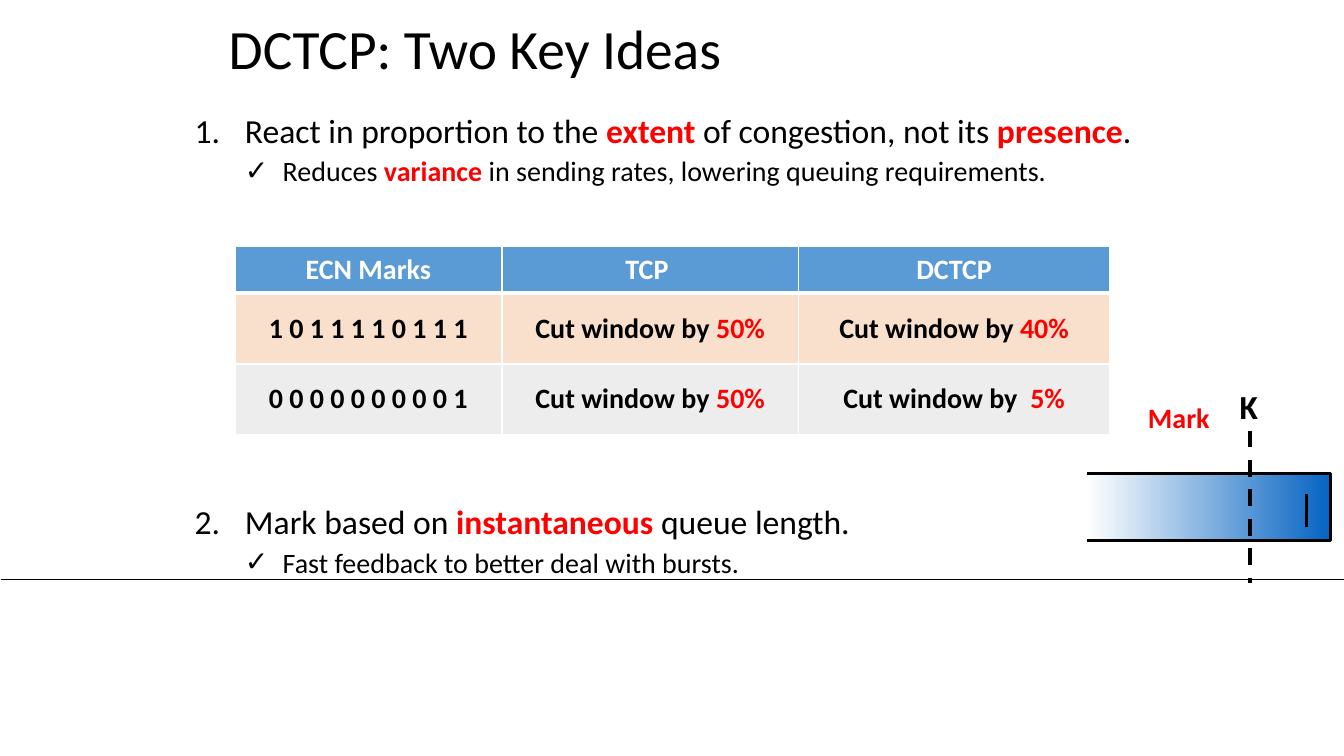
from lxml import etree
from pptx import Presentation
from pptx.dml.color import RGBColor
from pptx.enum.dml import MSO_LINE
from pptx.enum.shapes import MSO_CONNECTOR
from pptx.enum.text import MSO_ANCHOR, MSO_AUTO_SIZE, PP_ALIGN
from pptx.oxml import parse_xml
from pptx.oxml.ns import nsdecls, qn
from pptx.util import Cm, Pt

LEFT, CENTER = PP_ALIGN.LEFT, PP_ALIGN.CENTER
TOP, MIDDLE = MSO_ANCHOR.TOP, MSO_ANCHOR.MIDDLE
NO_AUTOFIT = MSO_AUTO_SIZE.NONE
STRAIGHT, DASH = MSO_CONNECTOR.STRAIGHT, MSO_LINE.DASH

BLACK, WHITE, RED = "000000", "FFFFFF", "FF0000"
HEADER, PEACH, GREY, BLUE = "5B9BD5", "F9E0CD", "EDEDED", "0563C1"


def rgb(value):
    return RGBColor.from_string(value)


def write(p, text, size=20, color=BLACK, bold=False, font="Calibri"):
    """Add a run; parts between asterisks become bold red."""
    for i, part in enumerate(text.split("*")):
        if part:
            r = p.add_run()
            r.text = part
            r.font.name, r.font.size = font, Pt(size)
            r.font.bold = bold or i % 2 == 1
            r.font.color.rgb = rgb(RED if i % 2 else color)


class SlideBuilder:
    def __init__(self, prs):
        self.s = prs.slides.add_slide(prs.slide_layouts[1])

    def place(self, sp, x, y, w, h, anchor):
        sp.left, sp.top, sp.width, sp.height = Cm(x), Cm(y), Cm(w), Cm(h)
        tf = sp.text_frame
        tf.word_wrap, tf.auto_size = True, NO_AUTOFIT
        tf.vertical_anchor = anchor
        return tf

    def title(self, text, *box):
        p = self.place(self.s.shapes.title, *box, MIDDLE).paragraphs[0]
        p.alignment, p.line_spacing = LEFT, 0.9
        write(p, text, size=39.6)

    def body(self, items, *box):
        """Items are (level, bullet XML, space before in points, text)."""
        tf = self.place(self.s.placeholders[1], *box, TOP)
        tf.margin_top = Cm(1.25)
        for i, (level, bullet, before, text) in enumerate(items):
            p = tf.add_paragraph() if i else tf.paragraphs[0]
            ppr = p._p.get_or_add_pPr()
            margin, hang = ((1.27, 1.27), (2.22, 0.95))[level]
            ppr.set("marL", str(Cm(margin)))
            ppr.set("indent", str(-Cm(hang)))
            ppr.append(parse_xml(bullet))
            p.level, p.line_spacing = level, 0.9
            p.space_before, p.space_after = Pt(before), Pt(0)
            write(p, text, size=(24, 20)[level])

    def table(self, rows, widths, heights, fills, x, y):
        frame = self.s.shapes.add_table(len(rows), len(widths), Cm(x), Cm(y),
                                        Cm(sum(widths)), Cm(sum(heights)))
        table = frame.table
        for col, width in zip(table.columns, widths):
            col.width = Cm(width)
        for i, texts in enumerate(rows):
            table.rows[i].height = Cm(heights[i])
            for j, text in enumerate(texts):
                cell = table.cell(i, j)
                self.borders(cell, top=3 if i == 1 else 1, bottom=3 if i == 0 else 1)
                cell.fill.solid()
                cell.fill.fore_color.rgb = rgb(fills[i])
                cell.vertical_anchor = MIDDLE
                cell.margin_left = cell.margin_right = Cm(0.3)
                cell.margin_top = cell.margin_bottom = Cm(0.15)
                p = cell.text_frame.paragraphs[0]
                p.alignment = CENTER
                write(p, text, color=BLACK if i else WHITE, bold=True)

    def borders(self, cell, top, bottom):
        tcpr = cell._tc.get_or_add_tcPr()
        for side, width in (("L", 1), ("R", 1), ("T", top), ("B", bottom)):
            tcpr.append(parse_xml(
                f'<a:ln{side} {nsdecls("a")} w="{Pt(width)}"><a:solidFill>'
                f'<a:srgbClr val="{WHITE}"/></a:solidFill></a:ln{side}>'))

    def label(self, text, x, y, w, h, **fmt):
        tf = self.place(self.s.shapes.add_textbox(0, 0, 0, 0), x, y, w, h, TOP)
        write(tf.paragraphs[0], text, bold=True, **fmt)

    def line(self, x1, y1, x2, y2, width, dash=None):
        c = self.s.shapes.add_connector(STRAIGHT, Cm(x1), Cm(y1), Cm(x2), Cm(y2))
        c.line.color.rgb, c.line.width = rgb(BLACK), Pt(width)
        if dash:
            c.line.dash_style = dash
        etree.SubElement(c._element.spPr, qn("a:effectLst"))

    def queue(self, x, y, w, h):
        """Box open on the left, shaded from white to blue."""
        builder = self.s.shapes.build_freeform(Cm(x), Cm(y))
        corners = [(x + w, y), (x + w, y + h), (x, y + h)]
        builder.add_line_segments([(Cm(a), Cm(b)) for a, b in corners], close=False)
        sp = builder.convert_to_shape()
        sp.shadow.inherit = False
        sp.fill.gradient()
        sp.fill.gradient_angle = 0
        for stop, color, position in zip(sp.fill.gradient_stops, (WHITE, BLUE), (0, 1)):
            stop.color.rgb, stop.position = rgb(color), position
        sp.line.color.rgb, sp.line.width = rgb(BLACK), Pt(2.25)


def number(start):
    return f'<a:buAutoNum {nsdecls("a")} type="arabicPeriod" startAt="{start}"/>'


def main():
    prs = Presentation()
    prs.slide_width, prs.slide_height = Cm(33.87), Cm(19.05)
    slide = SlideBuilder(prs)
    check = f'<a:buChar {nsdecls("a")} char="✓"/>'

    # Footer rule, title and the two ideas
    slide.line(0.03, 14.61, 33.9, 14.61, 0.5)
    slide.title("DCTCP: Two Key Ideas", 5.51, 0.43, 22.86, 1.75)
    slide.body([
        (0, number(1), 0, "React in proportion to the *extent* of congestion, not its *presence*."),
        (1, check, 5, "Reduces *variance *in sending rates, lowering queuing requirements."),
        (0, number(2), 227, "Mark based on *instantaneous* queue length."),
        (1, check, 5, "Fast feedback to better deal with bursts."),
    ], 4.65, 1.63, 24.97, 9.73)

    # Comparison of the window cuts
    slide.table([
        ("ECN Marks", "TCP ", "DCTCP"),
        ("1 0 1 1 1 1 0 1 1 1", "Cut window by *50%*", "Cut window by *40%*"),
        ("0 0 0 0 0 0 0 0 0 1", "Cut window by* 50%*", "Cut window by  *5%*"),
    ], (6.73, 7.47, 7.85), (1.17, 1.78, 1.78), (HEADER, PEACH, GREY), 5.92, 6.22)

    # Queue with its marking threshold
    slide.label("K", 30.99, 9.6, 1.02, 1.27, size=24)
    slide.label("Mark", 28.68, 9.96, 4.09, 1.12, color=RED)
    slide.queue(27.4, 11.93, 6.13, 1.69)
    slide.line(32.92, 12.45, 32.92, 13.28, 2.25)
    slide.line(31.5, 10.85, 31.5, 14.68, 3, DASH)

    prs.save("out.pptx")


if __name__ == "__main__":
    main()
